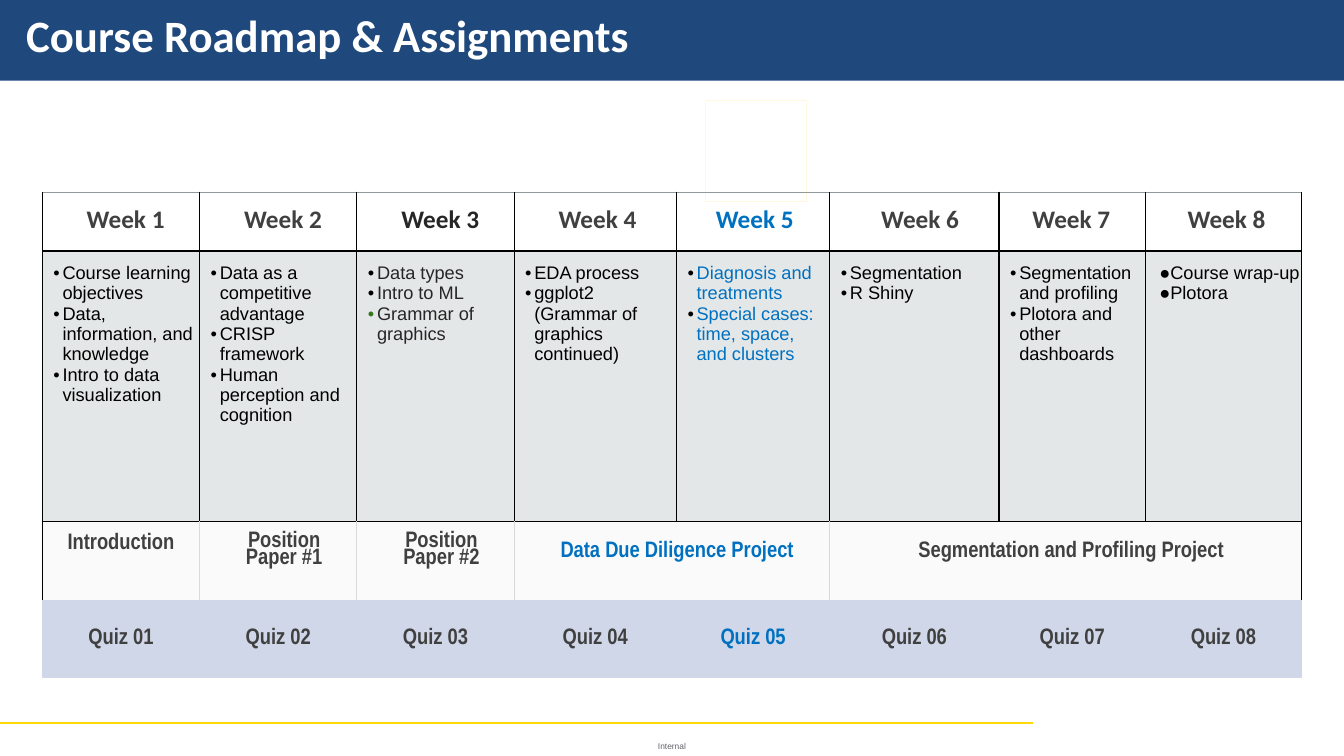
import math
from lxml import etree
from pptx import Presentation, util as u
from pptx.dml.color import RGBColor
from pptx.enum import shapes, text
from pptx.oxml.ns import qn

THEME = {
    "band": "1F497D", "gold": "FFC000", "rule": "FFD807", "now": "0070C0",
    "label": "404040", "ink": "262626", "body": "000000", "green": "38761D",
    "topic_fill": "E4E7E7", "project_fill": "FAFAFA", "quiz_fill": "D0D7E8",
    "top_edge": "8F9A9D", "soft_edge": "D9D9D9", "footer": "626469", "white": "FFFFFF",
    "title_type": ("Calibri", 32, True), "week_type": ("Calibri", 18, True),
    "topic_type": ("Arial", 13, False), "task_type": ("Arial Narrow", 16, True),
    "footer_type": ("Arial", 6, False),
}
LEFT, CENTER = text.PP_ALIGN.LEFT, text.PP_ALIGN.CENTER
TOP, MIDDLE = text.MSO_ANCHOR.TOP, text.MSO_ANCHOR.MIDDLE


def rgb(name):
    return RGBColor.from_string(THEME[name])


def write(frame, lines, kind, color, align=LEFT, indent=(0, 0), bullets=None,
          spacing=None, top=0, anchor=TOP):
    """Fill a text frame, one paragraph per line."""
    frame.word_wrap = True
    frame.vertical_anchor = anchor
    for side, inset in {"left": 0, "right": 0, "bottom": 0, "top": top}.items():
        setattr(frame, f"margin_{side}", u.Inches(inset))
    for i, line in enumerate(lines):
        para = frame.paragraphs[0] if i == 0 else frame.add_paragraph()
        para.text = line
        para.alignment = align
        if spacing:
            para.line_spacing = spacing
        props = para._p.get_or_add_pPr()
        props.set("marL", str(u.Inches(indent[0])))
        props.set("indent", str(u.Inches(indent[1])))
        if bullets:
            mark, mark_colors = bullets
            bullet_color = etree.SubElement(props, qn("a:buClr"))
            etree.SubElement(bullet_color, qn("a:srgbClr"), val=THEME[mark_colors[i]])
            etree.SubElement(props, qn("a:buFont"), typeface="Arial")
            etree.SubElement(props, qn("a:buChar"), char=mark)
        font = para.runs[0].font
        family, size, bold = THEME[kind]
        for name, value in {"name": family, "size": u.Pt(size), "bold": bold}.items():
            setattr(font, name, value)
        font.color.rgb = rgb(color)


deck = Presentation()
deck.slide_width, deck.slide_height = u.Inches(13.33), u.Inches(7.5)
W, H = deck.slide_width, deck.slide_height
slide = deck.slides.add_slide(deck.slide_layouts[5])

# Title on its band
band = slide.shapes.add_shape(shapes.MSO_SHAPE.RECTANGLE, 0, 0, W, u.Inches(0.8))
band.shadow.inherit = False
band.fill.solid()
band.fill.fore_color.rgb = rgb("band")
band.line.fill.background()
slide.shapes._spTree.insert(2, band._element)

title = slide.shapes.title
for name, inches in {"left": 0.25, "top": 0.07, "width": 13.08, "height": 0.55}.items():
    setattr(title, name, u.Inches(inches))
title.text_frame.auto_size = text.MSO_AUTO_SIZE.NONE
write(title.text_frame, ["Course Roadmap & Assignments"], "title_type", "white",
      indent=(0.01, 0), top=0.01)

# Footer rule and classification
rule = slide.shapes.add_connector(shapes.MSO_CONNECTOR.STRAIGHT, 0, u.Inches(7.17),
                                  u.Inches(10.25), u.Inches(7.17))
rule.line.color.rgb = rgb("rule")
rule.line.width = u.Pt(1.5)
etree.SubElement(rule._element.spPr, qn("a:effectLst"))
footer_width = u.Inches(0.5)
footer = slide.shapes.add_textbox((W - footer_width) // 2, u.Inches(7.3),
                                  footer_width, u.Inches(0.2))
write(footer.text_frame, ["Internal"], "footer_type", "footer", CENTER, anchor=MIDDLE)

# Weeks: heading indent, topics
weeks = [
    (0.44, ["Course learning objectives", "Data, information, and knowledge",
            "Intro to data visualization"]),
    (0.44, ["Data as a competitive advantage", "CRISP framework",
            "Human perception and cognition"]),
    (0.44, ["Data types", "Intro to ML", "Grammar of graphics"]),
    (0.44, ["EDA process", "ggplot2 (Grammar of graphics continued)"]),
    (0.39, ["Diagnosis and treatments", "Special cases: time, space, and clusters"]),
    (0.51, ["Segmentation", "R Shiny"]),
    (0.33, ["Segmentation and profiling", "Plotora and other dashboards"]),
    (0.42, ["Course wrap-up", "Plotora"]),
]
# Projects: first column, columns covered, wording, colour, format
paper = {"indent": (0.46, 0.02), "top": 0.12, "spacing": 0.83}
projects = [
    (0, 1, "Introduction", "label", {"align": CENTER, "top": 0.12}),
    (1, 1, "Position Paper #1", "label", paper),
    (2, 1, "Position Paper #2", "label", paper),
    (3, 2, "Data Due Diligence Project", "now", {"indent": (0.46, 0), "top": 0.2}),
    (5, 3, "Segmentation and Profiling Project", "label",
     {"align": CENTER, "indent": (0.11, 0), "top": 0.2}),
]

# Roadmap table
widths = [1.56, 1.56, 1.56, 1.61, 1.52, 1.68, 1.45, 1.55]
heights = [0.58, 2.68, 0.78, 0.78]
last = len(widths)
roadmap = slide.shapes.add_table(len(heights), last, u.Inches(0.42), u.Inches(1.91),
                                 u.Inches(sum(widths)), u.Inches(sum(heights))).table
roadmap.first_row = roadmap.horz_banding = False
for column, width in zip(roadmap.columns, widths):
    column.width = u.Inches(width)
for row, height in zip(roadmap.rows, heights):
    row.height = u.Inches(height)

for col, (indent, topics) in enumerate(weeks):
    current = col == 4
    heading_color = {2: "ink", 4: "now"}.get(col, "label")
    topic_color = {2: "ink", 4: "now"}.get(col, "body")
    marks = ["body", "body", "green" if col == 2 else "body"]
    mark, hang = ("●", -0.06) if col == last - 1 else ("•", -0.09)
    for row, lines, kind, color, look in [
        (0, [f"Week {col + 1}"], "week_type", heading_color,
         {"indent": (indent, 0), "top": 0.12}),
        (1, topics, "topic_type", topic_color,
         {"indent": (0.2, hang), "bullets": (mark, marks), "top": 0.12}),
        (3, [f"Quiz {col + 1:02d}"], "task_type", "now" if current else "label",
         {"align": CENTER, "anchor": MIDDLE}),
    ]:
        cell = roadmap.cell(row, col)
        write(cell.text_frame, lines, kind, color, **look)
        cell.vertical_anchor = look.get("anchor", TOP)
        for side in ("left", "right", "top", "bottom"):
            setattr(cell, f"margin_{side}", u.Inches(look.get(side, 0)))

for col, covered, name, color, look in projects:
    cell = roadmap.cell(2, col)
    if covered > 1:
        cell.merge(roadmap.cell(2, col + covered - 1))
    write(cell.text_frame, [name], "task_type", color, **look)
    for side in ("left", "right", "top", "bottom"):
        setattr(cell, f"margin_{side}", u.Inches(look.get(side, 0)))

# Cell fills and borders
fills = [None, "topic_fill", "project_fill", "quiz_fill"]
level_edges = [("top_edge", 1.5), ("body", 1), ("body", 1), None, None]
for row, fill in enumerate(fills):
    for col in range(last):
        cell = roadmap.cell(row, col)
        if fill:
            cell.fill.solid()
            cell.fill.fore_color.rgb = rgb(fill)
        else:
            cell.fill.background()
        end = col + (cell.span_width if cell.is_merge_origin else 1)
        upright = [None if row == 3 else ("soft_edge", 0.75)
                   if row == 2 and 0 < edge < last else ("body", 1) for edge in (col, end)]
        props = cell._tc.get_or_add_tcPr()
        for place, (tag, edge) in enumerate(zip(
                ("lnL", "lnR", "lnT", "lnB"), upright + level_edges[row:row + 2])):
            border = etree.Element(qn(f"a:{tag}"), w=str(u.Pt(edge[1] if edge else 0)))
            if edge:
                paint = etree.SubElement(border, qn("a:solidFill"))
                etree.SubElement(paint, qn("a:srgbClr"), val=THEME[edge[0]])
            else:
                etree.SubElement(border, qn("a:noFill"))
            props.insert(place, border)

# Target over the current week: two open rings and a bullseye with its dart
def arc(radius, start, stop, steps=40):
    angles = [math.radians(start + (stop - start) * i / steps) for i in range(steps + 1)]
    return [(7.45 + radius * math.cos(a), 1.36 + radius * math.sin(a)) for a in angles]


dart = [(7.47, 1.32), (7.55, 1.24), (7.55, 1.22), (7.6, 1.16), (7.61, 1.21),
        (7.65, 1.21), (7.6, 1.26), (7.57, 1.26), (7.49, 1.34)]
outlines = [arc(0.19, -27, 297) + arc(0.155, 300, -30),
            arc(0.12, -17, 287) + arc(0.09, 287, -17),
            dart + arc(0.05, -25, 295)]
pen = slide.shapes.build_freeform(*outlines[0][0], scale=u.Inches(1))
for i, outline in enumerate(outlines):
    if i:
        pen.move_to(*outline[0])
    pen.add_line_segments(outline[1:], close=True)
target = pen.convert_to_shape()
target.shadow.inherit = False
target.fill.solid()
target.fill.fore_color.rgb = rgb("gold")
target.line.fill.background()

deck.save("out.pptx")
